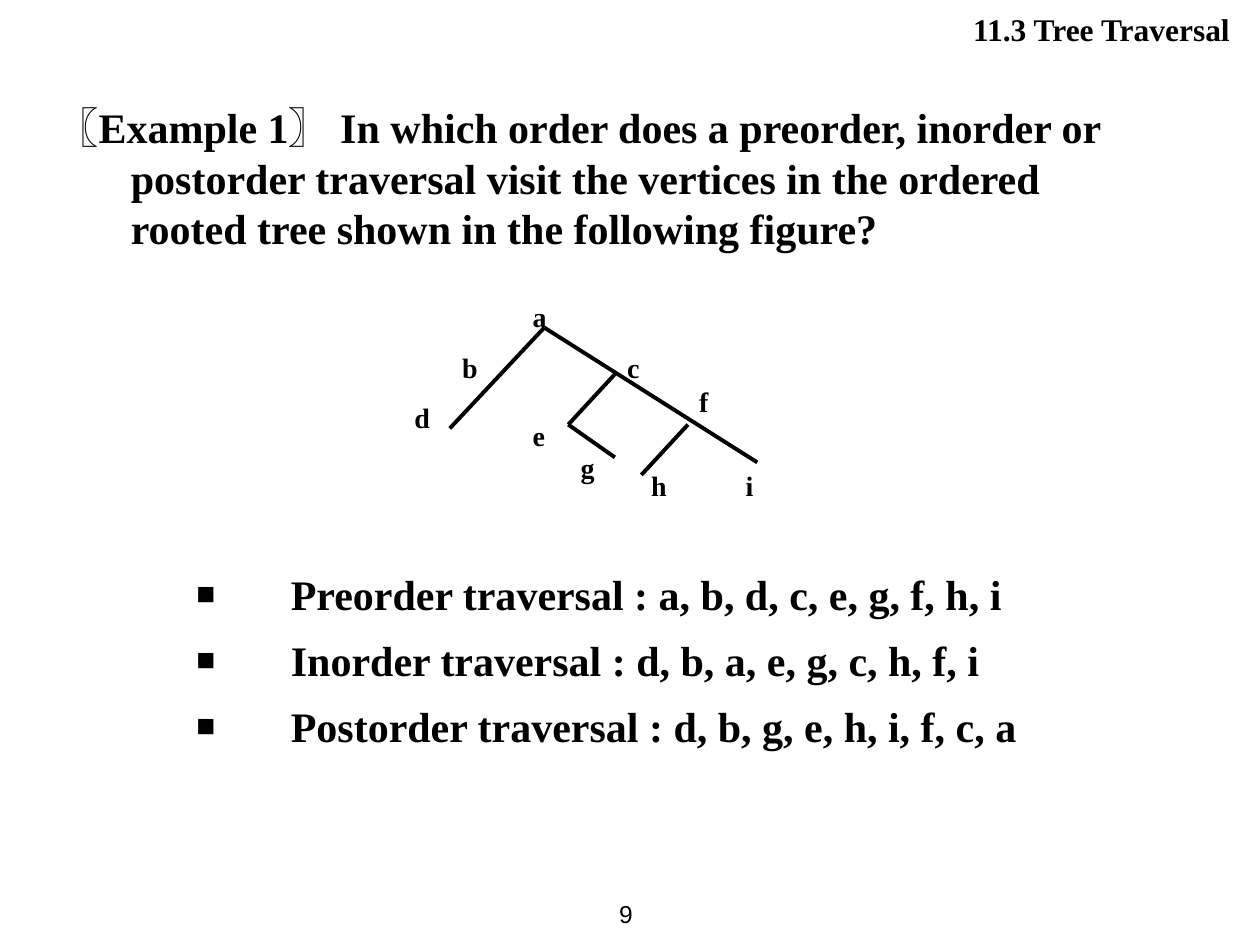
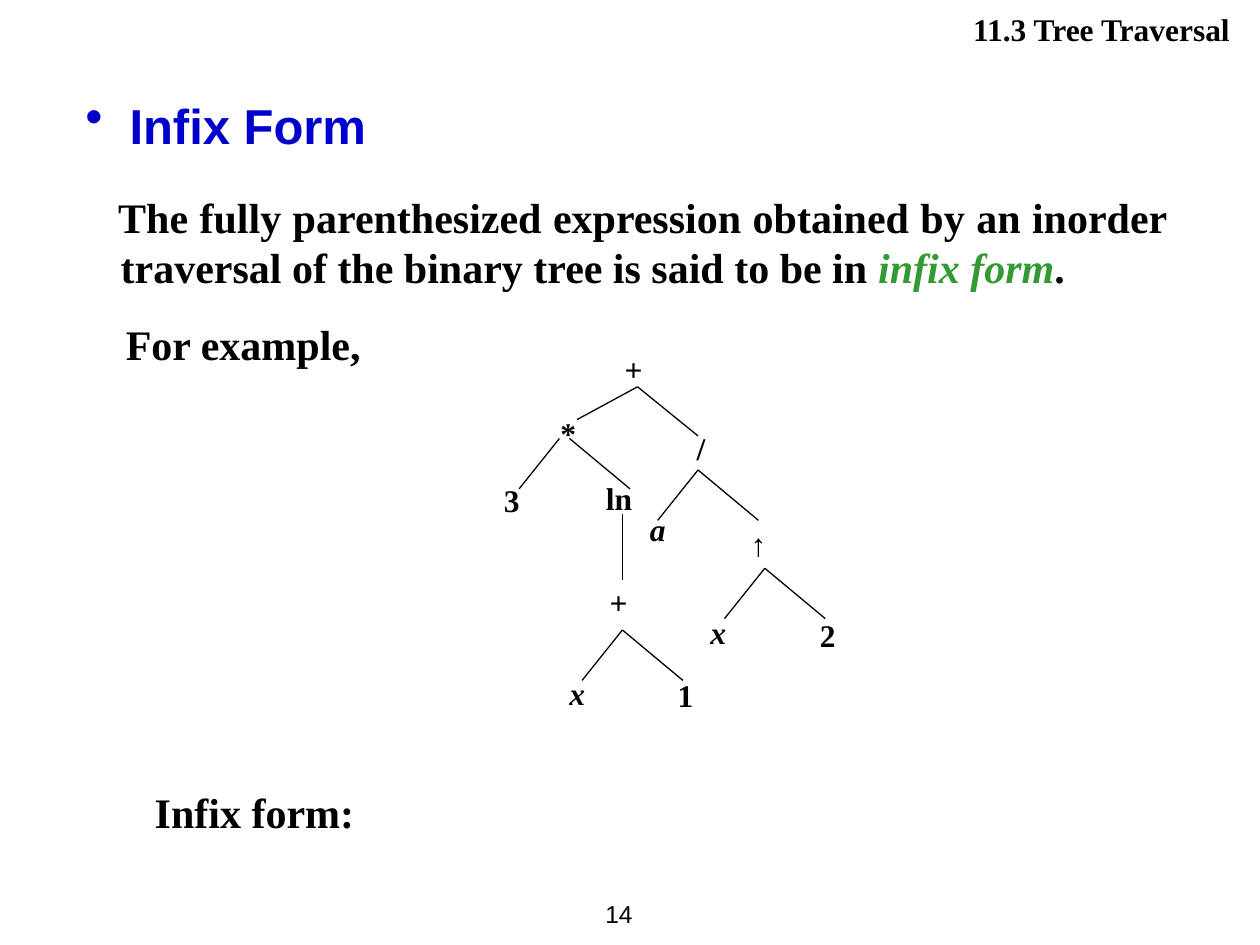
from dataclasses import dataclass

from lxml import etree
from pptx import Presentation
from pptx.dml.color import RGBColor
from pptx.enum.shapes import MSO_CONNECTOR as CONN
from pptx.enum.text import MSO_ANCHOR as ANCHOR, PP_ALIGN as ALIGN
from pptx.oxml.ns import qn
from pptx.util import Inches, Pt


@dataclass(frozen=True)
class Theme:
    black: str = "000000"
    blue: str = "0000CC"
    green: str = "339933"
    navy: str = "003366"
    serif: str = "Times New Roman"
    sans: str = "Arial"
    title: int = 28
    title_end: int = 40
    body: int = 24
    header: int = 18
    letter: int = 16
    operator: int = 18
    page: int = 14


T = Theme()


# Text
def add_box(s, x, y, w, h, wrap=True, anchor=ANCHOR.TOP):
    tf = s.shapes.add_textbox(Inches(x), Inches(y), Inches(w), Inches(h)).text_frame
    tf.word_wrap = wrap
    tf.vertical_anchor = anchor
    return tf


def add_run(p, text, size=T.body, font=T.serif, color=T.black, bold=True, italic=False):
    r = p.add_run()
    r.text = text
    r.font.size, r.font.name = Pt(size), font
    r.font.bold, r.font.italic = bold, italic
    r.font.color.rgb = RGBColor.from_string(color)


def set_indent(p, left, first):
    pPr = p._p.get_or_add_pPr()
    pPr.set("marL", str(Inches(left)))
    pPr.set("indent", str(Inches(first)))


def set_bullet(p, char, color, percent=100):
    pPr = p._p.get_or_add_pPr()
    clr = etree.SubElement(pPr, qn("a:buClr"))
    etree.SubElement(clr, qn("a:srgbClr"), val=color)
    etree.SubElement(pPr, qn("a:buSzPct"), val=str(percent * 1000))
    etree.SubElement(pPr, qn("a:buFont"), typeface=T.sans)
    etree.SubElement(pPr, qn("a:buChar"), char=char)


# Trees
def add_edge(s, start, end, width):
    c = s.shapes.add_connector(CONN.STRAIGHT, *map(Inches, start + end))
    c.line.color.rgb = RGBColor.from_string(T.black)
    c.line.width = Pt(width)
    etree.SubElement(c._element.spPr, qn("a:effectLst"))


def add_node(s, label, x, y, size, font=T.serif):
    p = add_box(s, x, y, 0.56, 0.4).paragraphs[0]
    add_run(p, label, size, font, italic=label in ("a", "x") and size == T.operator)


def add_fork(s, x, y):
    for dx in (-0.32, 0.48):
        add_edge(s, (x, y), (x + dx, y + 0.4), 0.75)


# Slide frame
def add_slide(prs, page):
    s = prs.slides.add_slide(prs.slide_layouts[6])
    p = add_box(s, 3.98, 0.03, 5.88, 0.4).paragraphs[0]
    p.alignment = ALIGN.RIGHT
    add_run(p, "11.3 Tree Traversal", T.header)
    p = add_box(s, 4.45, 7, 0.67, 0.5, False, ANCHOR.MIDDLE).paragraphs[0]
    p.alignment = ALIGN.RIGHT
    add_run(p, page, T.page, T.sans, bold=False)
    return s


def build_traversal_slide(prs):
    s = add_slide(prs, "9")

    # Question
    p = add_box(s, 0.27, 0.76, 8.98, 1.42).paragraphs[0]
    set_indent(p, 0.67, -0.59)
    add_run(p, "〖Example 1〗 In which order does a preorder, inorder or postorder "
               "traversal visit the vertices in the ordered rooted tree shown in "
               "the following figure?")

    # Ordered rooted tree
    vertices = {"a": (4.13, 2.33), "b": (3.57, 2.73), "c": (4.88, 2.73),
                "d": (3.19, 3.13), "e": (4.13, 3.27), "f": (5.45, 3),
                "g": (4.51, 3.53), "h": (5.07, 3.67), "i": (5.82, 3.67)}
    for label, (x, y) in vertices.items():
        add_node(s, label, x, y, T.letter)
    root, e_point = (4.32, 2.6), (4.51, 3.37)
    for start, end in [(root, (3.57, 3.4)), (root, (6.01, 3.67)),
                       ((4.88, 2.97), e_point), (e_point, (4.88, 3.63)),
                       ((5.46, 3.37), (5.09, 3.77))]:
        add_edge(s, start, end, 2.25)

    # Answers
    tf = add_box(s, 1.46, 4.46, 6.85, 1.73)
    answers = ["Preorder traversal : a, b, d, c, e, g, f, h, i",
               "Inorder traversal : d, b, a, e, g, c, h, f, i",
               "Postorder traversal : d, b, g, e, h, i, f, c, a"]
    for i, answer in enumerate(answers):
        p = tf.add_paragraph() if i else tf.paragraphs[0]
        p.space_before = Pt(9)
        set_indent(p, 0.75, -0.75)
        set_bullet(p, "■", T.black, 75)
        add_run(p, answer)


def build_infix_slide(prs):
    s = add_slide(prs, "14")

    # Title
    p = add_box(s, 0.58, 0.6, 8.75, 0.71, anchor=ANCHOR.BOTTOM).paragraphs[0]
    set_indent(p, 0.35, -0.35)
    set_bullet(p, "•", T.blue)
    add_run(p, "Infix Form", T.title, T.sans, T.blue)
    add_run(p, " ", T.title_end, T.sans, T.navy)

    # Definition
    tf = add_box(s, 0.48, 1.47, 8.88, 1.57)
    p = tf.paragraphs[0]
    p.alignment = ALIGN.JUSTIFY
    set_indent(p, 0.38, -0.02)
    add_run(p, "The fully parenthesized expression obtained by an inorder traversal "
               "of the binary tree is said to be in ")
    add_run(p, "infix form", color=T.green, italic=True)
    add_run(p, ".")
    p = tf.add_paragraph()
    p.space_before = Pt(15)
    set_indent(p, 0.42, 0)
    add_run(p, "For example,")

    # Expression tree
    for label, x, y in [("+", 4.86, 2.73), ("*", 4.35, 3.24), ("/", 5.43, 3.36),
                        ("3", 3.9, 3.77), ("ln", 4.71, 3.75), ("a", 5.06, 4),
                        ("+", 4.74, 4.58), ("x", 5.54, 4.82), ("2", 6.41, 4.84),
                        ("x", 4.42, 5.3), ("1", 5.28, 5.32)]:
        add_node(s, label, x, y, T.operator)
    add_node(s, "↑", 5.86, 4.12, T.operator, T.sans)
    for apex in [(5.54, 3.73), (6.07, 4.51), (4.94, 5)]:
        add_fork(s, *apex)
    for start, end in [((5.06, 3.07), (4.58, 3.33)), ((5.06, 3.07), (5.54, 3.46)),
                       ((4.44, 3.48), (4.12, 3.88)), ((4.52, 3.48), (5, 3.88)),
                       ((4.94, 4.08), (4.94, 4.6))]:
        add_edge(s, start, end, 0.75)

    # Answer line
    add_run(add_box(s, 1.13, 6.19, 2.77, 0.55).paragraphs[0], "Infix form:")


def main():
    prs = Presentation()
    prs.slide_width, prs.slide_height = Inches(10), Inches(7.5)
    build_traversal_slide(prs)
    build_infix_slide(prs)
    prs.save("out.pptx")


if __name__ == "__main__":
    main()
